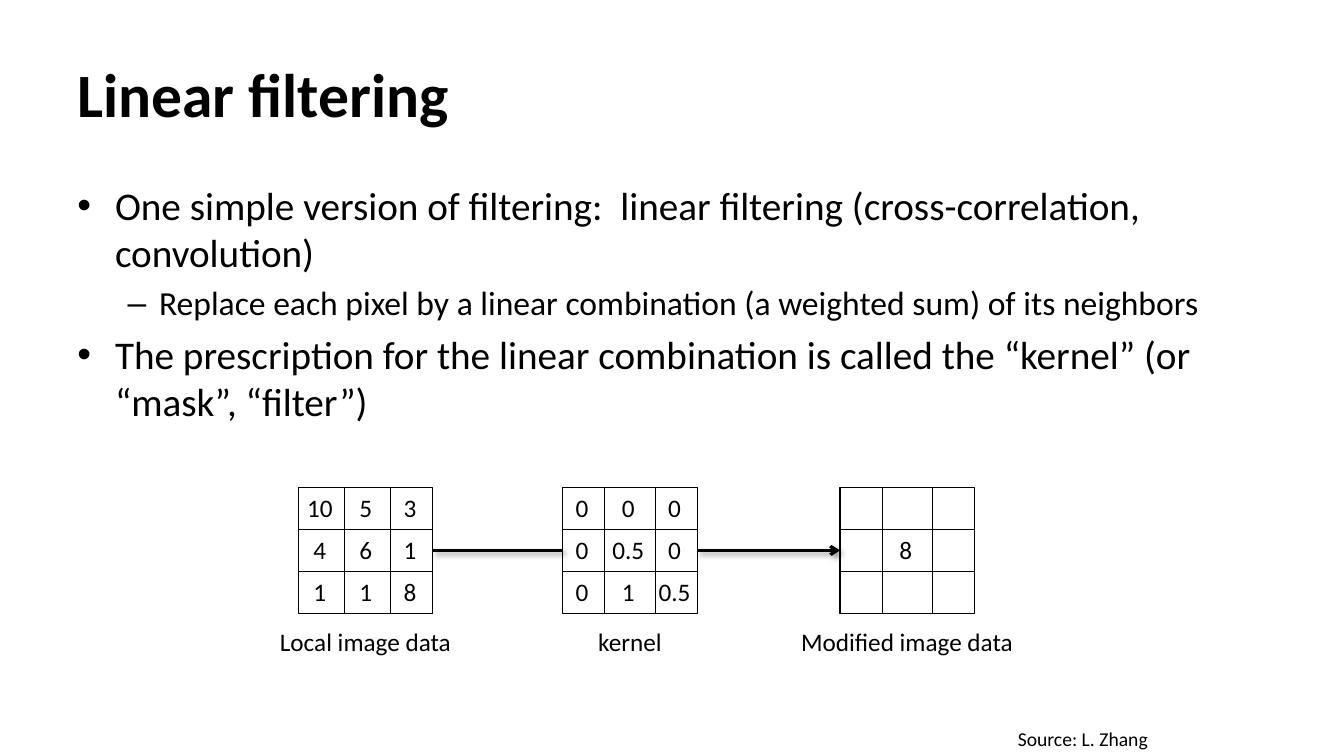
"""Build a slide that explains linear filtering with a kernel."""
from itertools import accumulate

from lxml.etree import SubElement
from pptx import Presentation
from pptx.dml.color import RGBColor
from pptx.enum.shapes import MSO_CONNECTOR as Connector, MSO_SHAPE as Preset
from pptx.enum.text import MSO_ANCHOR as Anchor, PP_ALIGN as Align
from pptx.oxml import parse_xml
from pptx.oxml.ns import qn
from pptx.util import Cm, Pt

COLORS = {"ink": "000000", "paper": "FFFFFF"}
INK = RGBColor.from_string(COLORS["ink"])
NAMESPACE = "http://schemas.openxmlformats.org/drawingml/2006/main"
SHADOW = (
    f'<a:effectLst xmlns:a="{NAMESPACE}">'
    '<a:outerShdw blurRad="50800" dist="38100" dir="2700000" rotWithShape="0">'
    f'<a:srgbClr val="{COLORS["ink"]}"><a:alpha val="40000"/></a:srgbClr>'
    "</a:outerShdw></a:effectLst>"
)


def write(frame, text, size=18, bold=False, align=Align.LEFT, wrap=False, anchor=Anchor.TOP):
    frame.word_wrap = wrap
    frame.vertical_anchor = anchor
    paragraph = frame.add_paragraph() if frame.text else frame.paragraphs[0]
    paragraph.alignment = align
    run = paragraph.add_run()
    run.text = text
    run.font.name = "Calibri"
    run.font.size = Pt(size)
    run.font.bold = bold
    run.font.color.rgb = INK
    return paragraph


def add_line(shapes, start, end, width=0.75, shadow=False):
    line = shapes.add_connector(Connector.STRAIGHT, *map(Cm, start + end))
    line.line.color.rgb = INK
    line.line.width = Pt(width)
    properties = line._element.spPr
    if shadow:
        properties.append(parse_xml(SHADOW))
    else:
        SubElement(properties, qn("a:effectLst"))
    return line


presentation = Presentation()
presentation.slide_width, presentation.slide_height = Cm(33.87), Cm(19.05)
slide = presentation.slides.add_slide(presentation.slide_layouts[5])
slide.background.fill.solid()
slide.background.fill.fore_color.rgb = RGBColor.from_string(COLORS["paper"])

title = slide.shapes.title
title.left, title.top, title.width, title.height = Cm(1.7), Cm(0.76), Cm(30.48), Cm(3.18)
write(title.text_frame, "Linear filtering", size=44, bold=True, wrap=True, anchor=Anchor.MIDDLE)

body = slide.shapes.add_textbox(Cm(1.7), Cm(4.45), Cm(30.48), Cm(12.57))
points = [
    (0, "One simple version of filtering:  linear filtering (cross-correlation, convolution)"),
    (1, "Replace each pixel by a linear combination (a weighted sum) of its neighbors"),
    (0, "The prescription for the linear combination is called the “kernel” (or “mask”, “filter”)"),
]
levels = [(28, "•", 0.95, 0.95), (24, "–", 2.06, 0.79)]
for index, (level, text) in enumerate(points):
    size, bullet, margin, hanging = levels[level]
    paragraph = write(body.text_frame, text, size=size, wrap=True)
    paragraph.level = level
    if index:
        paragraph.space_before = Pt(size * 0.2)
    properties = paragraph._p.get_or_add_pPr()
    properties.set("marL", str(Cm(margin)))
    properties.set("indent", str(-Cm(hanging)))
    SubElement(properties, qn("a:buFont"), typeface="Arial")
    SubElement(properties, qn("a:buChar"), char=bullet)

GRID_TOP, ROW_HEIGHT, GRID_WIDTH = 12.28, 1.06, 3.39
GRID_BOTTOM = GRID_TOP + 3 * ROW_HEIGHT
grids = [
    (7.52, (1.16, 1.16, 1.07), [("10", "5", "3"), ("4", "6", "1"), ("1", "1", "8")]),
    (14.18, (1.06, 1.27, 1.06), [("0", "0", "0"), ("0", "0.5", "0"), ("0", "1", "0.5")]),
    (21.17, (1.06, 1.27, 1.06), [("", "", ""), ("", "8", ""), ("", "", "")]),
]
for left, widths, rows in grids:
    shapes = slide.shapes.add_group_shape().shapes
    frame = shapes.add_shape(
        Preset.RECTANGLE, Cm(left), Cm(GRID_TOP), Cm(GRID_WIDTH), Cm(3 * ROW_HEIGHT))
    frame.shadow.inherit = False
    frame.fill.background()
    frame.line.color.rgb = INK
    frame.line.width = Pt(0.75)
    edges = list(accumulate(widths, initial=left))
    for x in edges[1:3]:
        add_line(shapes, (x, GRID_TOP), (x, GRID_BOTTOM))
    for row, values in enumerate(rows):
        top = GRID_TOP + row * ROW_HEIGHT
        if row:
            add_line(shapes, (left, top), (left + GRID_WIDTH, top))
        for x, width, value in zip(edges, widths, values):
            if value:
                box_width = 1.4 if len(value) > 1 else 0.84
                box_left = x + (width - box_width) / 2 - 0.04
                box = shapes.add_textbox(Cm(box_left), Cm(top), Cm(box_width), Cm(1.02))
                write(box.text_frame, value, align=Align.CENTER)

middle = GRID_TOP + 1.5 * ROW_HEIGHT
lefts = [left for left, widths, rows in grids]
for start, end in zip(lefts, lefts[1:]):
    link = add_line(slide.shapes, (start + GRID_WIDTH, middle), (end, middle), 2.25, shadow=True)
SubElement(link.line._get_or_add_ln(), qn("a:tailEnd"), type="arrow")

labels = [
    ("Local image data", 6.35, 15.67, 5.72, 18, Align.CENTER),
    ("kernel", 14.81, 15.67, 2.13, 18, Align.CENTER),
    ("Modified image data", 19.94, 15.67, 5.92, 18, Align.LEFT),
    ("Source: L. Zhang", 25.4, 18.2, 3.81, 14, Align.LEFT),
]
for text, left, top, width, size, align in labels:
    box = slide.shapes.add_textbox(Cm(left), Cm(top), Cm(width), Cm(size * 0.057))
    write(box.text_frame, text, size=size, align=align)

presentation.save("out.pptx")
